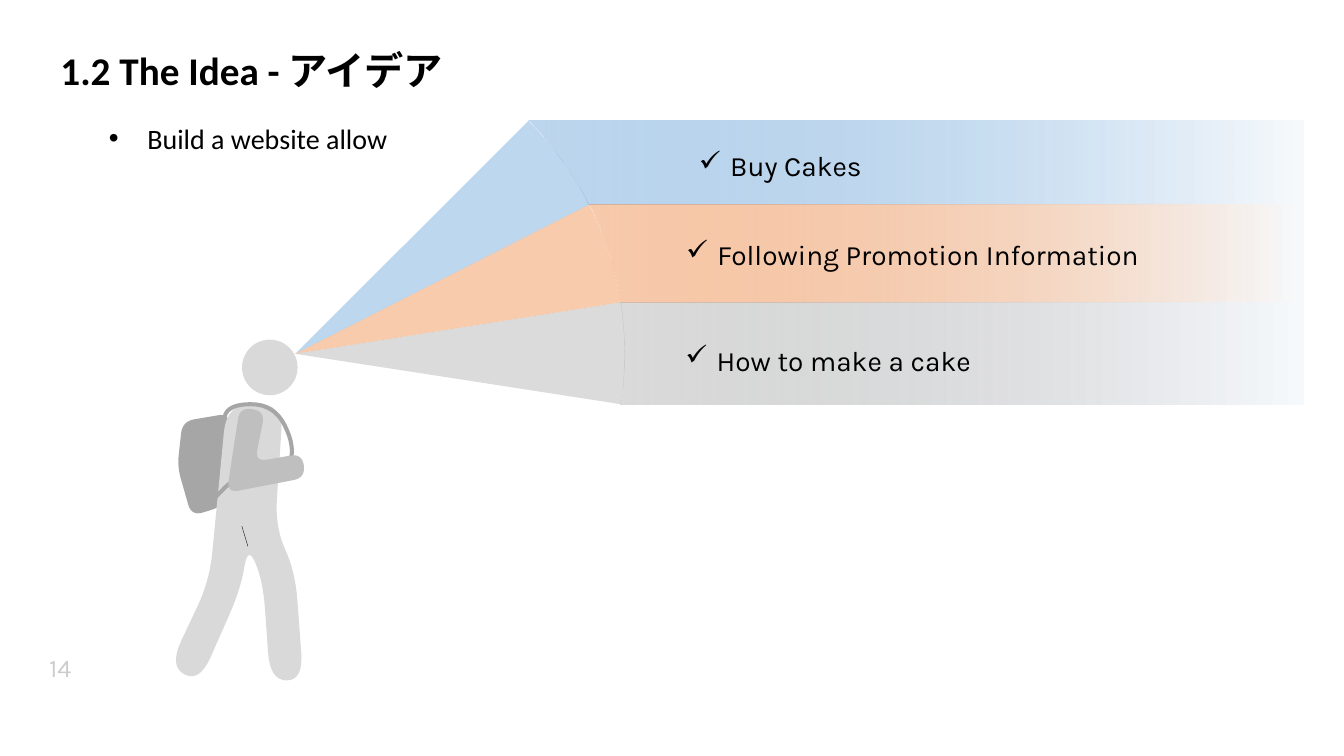
from dataclasses import dataclass
from math import hypot, sqrt

from lxml.etree import SubElement
from pptx import Presentation
from pptx.dml.color import RGBColor
from pptx.enum.shapes import MSO_SHAPE
from pptx.enum.text import MSO_ANCHOR, MSO_AUTO_SIZE, PP_ALIGN
from pptx.oxml.ns import qn
from pptx.util import Cm, Pt

COLORS = {
    "text": "000000", "fade": "F7FAFD", "blue": "5B9BD5", "orange": "ED7D31", "gray": "A5A5A5",
    "pack": "A6A6A6", "body": "D9D9D9", "arm": "BFBFBF",
}
UNIT = Cm(2.54) / 100
STEPS = 8
EYE_X, EYE_Y = 293, 351
SIGHT = 327
BAND_RIGHT = 1293
Point = tuple[float, float]


@dataclass
class Band:
    color: str
    top: int
    bottom: int
    label: str
    place: tuple[float, float, float]
    align: PP_ALIGN = PP_ALIGN.LEFT


@dataclass
class Part:
    color: str
    radius: int
    corners: list[Point]
    stroke: float = 0


BANDS = [
    Band("blue", 120, 203, "Buy Cakes", (15.04, 3.63, 6.93), PP_ALIGN.RIGHT),
    Band("orange", 203, 300, "Following Promotion Information", (17.04, 5.87, 12.4)),
    Band("gray", 300, 401, "How to make a cake", (17.02, 8.53, 8.18)),
]

TRAVELER = [
    Part("pack", 12, [(181, 418), (228, 410), (222, 502), (190, 512), (176, 463)]),
    Part("body", 28, [(225, 400), (281, 400), (273, 523), (293, 567), (301, 675), (268, 675),
                      (261, 576), (246, 541), (239, 584), (198, 677), (168, 661), (208, 576)]),
    Part("pack", 24, [(214, 493), (235, 472), (283, 472), (293, 443), (272, 401), (226, 401),
                      (220, 425)], 2.9),
    Part("arm", 12, [(238, 404), (263, 408), (253, 458), (300, 450), (303, 474), (225, 489)]),
    Part("text", 0, [(246, 542), (240, 522)], 0.25),
]


def sight_arc(top: int, bottom: int) -> list[Point]:
    heights = [top + (bottom - top) * step / STEPS for step in range(STEPS + 1)]
    return [(EYE_X + sqrt(SIGHT ** 2 - (y - EYE_Y) ** 2), y) for y in heights]


def toward(start: Point, target: Point, radius: float) -> Point:
    length = hypot(target[0] - start[0], target[1] - start[1])
    share = min(radius / length, 0.5)
    return tuple(a + (b - a) * share for a, b in zip(start, target))


def round_corners(part: Part) -> list[Point]:
    points = []
    last = len(part.corners) - 1
    for index, corner in enumerate(part.corners):
        if part.stroke and index in (0, last):
            points.append(corner)
            continue
        entry = toward(corner, part.corners[index - 1], part.radius)
        leave = toward(corner, part.corners[(index + 1) % (last + 1)], part.radius)
        for step in range(STEPS + 1):
            t = step / STEPS
            points.append(tuple((1 - t) ** 2 * a + 2 * t * (1 - t) * b + t * t * c
                                for a, b, c in zip(entry, corner, leave)))
    return points


def set_alpha(color_element, percent: int) -> None:
    SubElement(color_element, qn("a:alpha")).set("val", str(percent * 1000))


def paint(shape, color: str, stroke: float = 0) -> None:
    shape.shadow.inherit = False
    if stroke:
        shape.fill.background()
        shape.line.width = Pt(stroke)
        paint_fill = shape.line.fill
    else:
        shape.line.fill.background()
        paint_fill = shape.fill
    paint_fill.solid()
    paint_fill.fore_color.rgb = RGBColor.from_string(COLORS[color])


def draw_outline(shapes, points: list[Point], color: str, stroke: float = 0):
    scaled = [(x * UNIT, y * UNIT) for x, y in points]
    builder = shapes.build_freeform(*scaled[0])
    builder.add_line_segments(scaled[1:], close=not stroke)
    shape = builder.convert_to_shape()
    paint(shape, color, stroke)
    return shape


def add_bullet(paragraph, symbol: str, indent: float) -> None:
    properties = paragraph._p.get_or_add_pPr()
    properties.set("marL", str(Cm(indent)))
    properties.set("indent", str(-Cm(indent)))
    SubElement(properties, qn("a:buChar")).set("char", symbol)


def format_span(paragraph, font: str, size: int, bold: bool = False):
    span = paragraph.runs[0]
    span.font.name = font
    span.font.size = Pt(size)
    span.font.bold = bold
    span.font.color.rgb = RGBColor.from_string(COLORS["text"])
    return span


def draw_band(page, band: Band) -> None:
    arc = sight_arc(band.top, band.bottom)
    far_side = [(BAND_RIGHT, band.bottom), (BAND_RIGHT, band.top)]
    beam = draw_outline(page.shapes, arc + far_side, band.color)
    beam.fill.gradient()
    beam.fill.gradient_angle = 180
    for stop, position, color in zip(beam.fill.gradient_stops, (0, 1), ("fade", band.color)):
        stop.position = position
        stop.color.rgb = RGBColor.from_string(COLORS[color])
    ray = draw_outline(page.shapes, arc + [(EYE_X, EYE_Y)], band.color)
    for shape in (beam, ray):
        set_alpha(list(shape.element.spPr.iter(qn("a:srgbClr")))[-1], 40)
    box = page.shapes.add_textbox(*map(Cm, band.place), Cm(1.12))
    box.text_frame.word_wrap = True
    box.text_frame.auto_size = MSO_AUTO_SIZE.SHAPE_TO_FIT_TEXT
    para = box.text_frame.paragraphs[0]
    para.text = band.label
    para.alignment = band.align
    add_bullet(para, "✓", 0.79)
    format_span(para, "Karla", 20)


def draw_traveler(page) -> None:
    group = page.shapes.add_group_shape()
    for part in TRAVELER:
        draw_outline(group.shapes, round_corners(part), part.color, part.stroke)
    head = group.shapes.add_shape(MSO_SHAPE.OVAL, Cm(6.1), Cm(8.56), Cm(1.4), Cm(1.4))
    paint(head, "body")


def fill_placeholder(holder, text: str, place: tuple[float, float, float, float]):
    holder.left, holder.top, holder.width, holder.height = map(Cm, place)
    frame = holder.text_frame
    frame.text = text
    frame.vertical_anchor = MSO_ANCHOR.TOP
    frame.auto_size = MSO_AUTO_SIZE.NONE
    para = frame.paragraphs[0]
    para.alignment = PP_ALIGN.LEFT
    para.line_spacing = 0.9
    para.space_before = Pt(0)
    return para


def add_page_number(page) -> None:
    box = page.shapes.add_textbox(Cm(0.91), Cm(16.36), Cm(2.44), Cm(0.91))
    frame = box.text_frame
    frame.text = "14"
    frame.word_wrap = False
    frame.vertical_anchor = MSO_ANCHOR.MIDDLE
    frame.margin_left = frame.margin_right = Cm(0.33)
    frame.margin_top = frame.margin_bottom = Cm(0.18)
    span = format_span(frame.paragraphs[0], "Karla", 18)
    set_alpha(next(span._r.iter(qn("a:srgbClr"))), 20)


def main() -> None:
    deck = Presentation()
    deck.slide_width, deck.slide_height = Cm(33.87), Cm(19.05)
    page = deck.slides.add_slide(deck.slide_layouts[1])
    title = fill_placeholder(page.shapes.title, "1.2 The Idea - アイデア", (1.27, 1.17, 14.5, 3.68))
    format_span(title, "Calibri", 28, True)
    body = fill_placeholder(page.placeholders[1], "Build a website allow", (2.49, 3.02, 11.89, 1.88))
    add_bullet(body, "•", 0.97)
    format_span(body, "Calibri", 20)
    add_page_number(page)
    for band in BANDS:
        draw_band(page, band)
    draw_traveler(page)
    deck.save("out.pptx")


if __name__ == "__main__":
    main()
